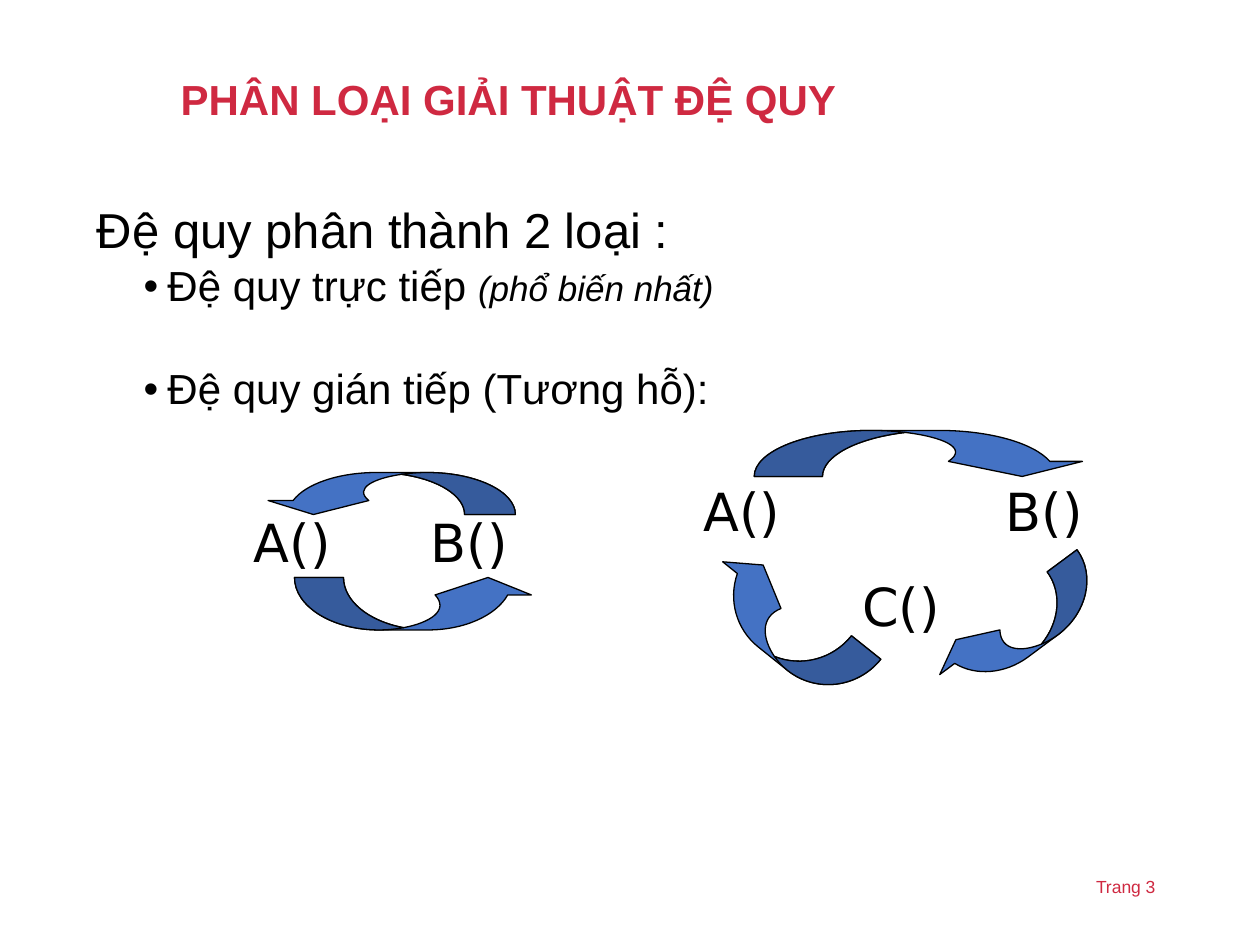
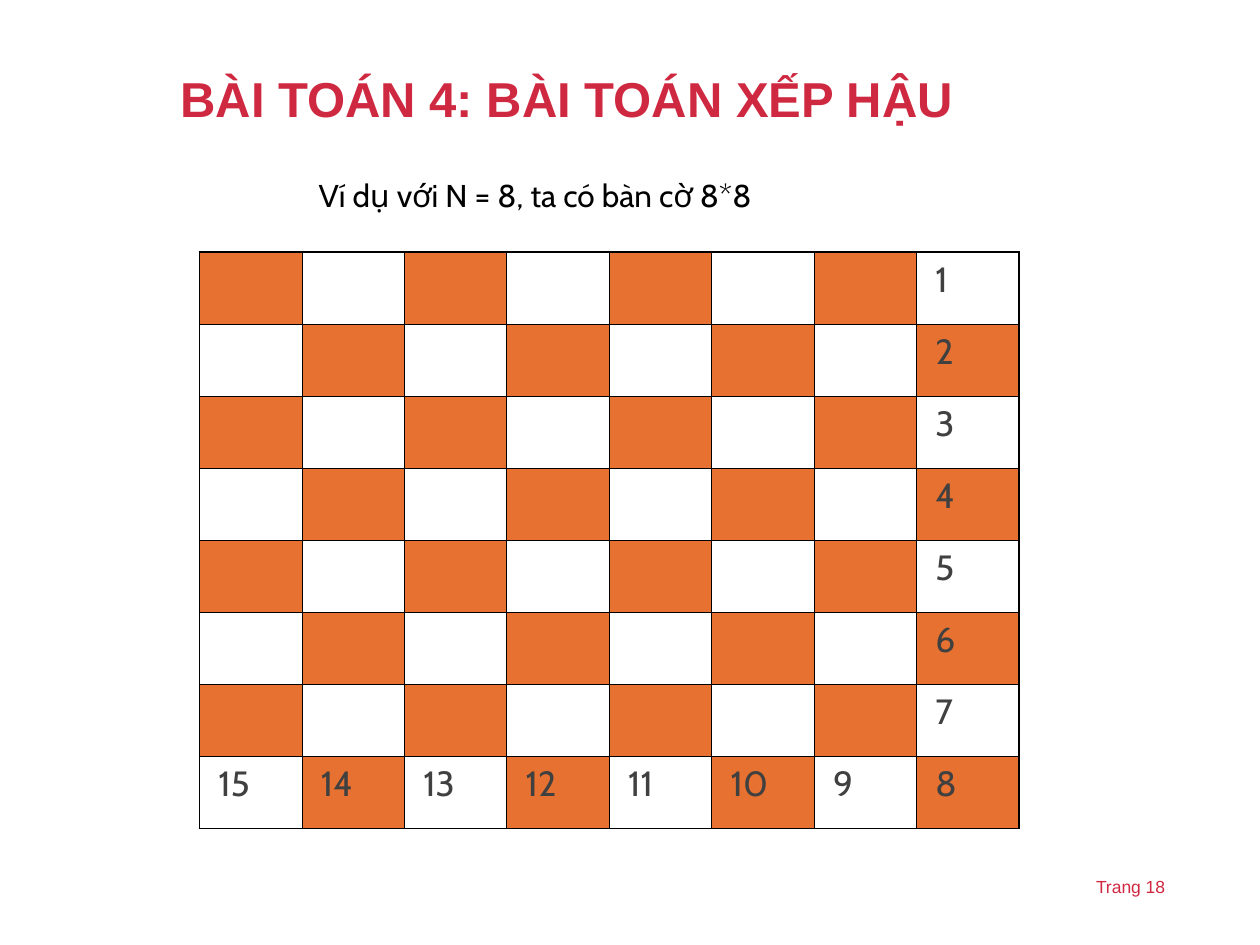
from math import acos, asin, cos, pi, radians, sin, tan

from lxml.etree import SubElement as Sub
from pptx import Presentation
from pptx.dml.color import RGBColor as RGB
from pptx.enum.shapes import MSO_SHAPE as Kind
from pptx.enum.text import MSO_ANCHOR as Anchor
from pptx.enum.text import MSO_AUTO_SIZE as Fit
from pptx.enum.text import PP_ALIGN as Align
from pptx.oxml import parse_xml
from pptx.oxml.ns import nsdecls, qn
from pptx.util import Pt

RED = RGB(0xCF, 0x29, 0x41)
BLACK = RGB(0, 0, 0)
GRAY = RGB(0x40, 0x40, 0x40)
BLUE = RGB(0x44, 0x72, 0xC4)
ORANGE = RGB(0xE6, 0x71, 0x30)
SANS, MONO, ROUND = "Arial", "DejaVu Sans", "Cabin"

KINDS = {
    "title": "PHÂN LOẠI GIẢI THUẬT ĐỆ QUY",
    "size": 24,
    "page": 3,
    "lead": "Đệ quy phân thành 2 loại :",
    "items": [
        (3.7, [("Đệ quy trực tiếp ", 24, False), ("(phổ biến nhất)", 20, True)]),
        (33, [("Đệ quy gián tiếp (Tương hỗ):", 24, False)]),
    ],
}
ARROWS = [
    dict(start=(294.5, 294), spin=180, aim=0, side=-1,
         shaft=29, reach=115.4, head=57.5, length=8, depth=24),
    dict(start=(168.3, 330), spin=0, aim=0, side=-1,
         shaft=28, reach=110.6, head=55, length=10, depth=30),
    dict(start=(615.4, 314.2), spin=53.4, aim=90, side=1,
         shaft=21.2, reach=86.2, head=42.8, length=10.5, depth=32.5),
    dict(start=(431, 272.3), spin=0, aim=0, side=1,
         shaft=39, reach=153.1, head=76.6, length=8.6, depth=26.3),
    dict(start=(503.3, 376.7), spin=308.7, aim=-90, side=1,
         shaft=21.4, reach=86.1, head=42.7, length=13, depth=38.3),
]
CALLS = [
    ((102, 288, 222, 43), 36, 47.7, ["A()", "B()"], None),
    ((395, 270, 239.8, 98), 0, 119.2, ["A()", "B()"], "C()"),
]
QUEENS = {
    "title": "BÀI TOÁN 4: BÀI TOÁN XẾP HẬU",
    "size": 28,
    "page": 18,
    "note": "Ví dụ với N = 8, ta có bàn cờ 8*8",
}
N = 8
BOARD = (114, 144, 468.3, 329.7)
THIN, THICK = 0.45, 1.08


def place(shape, box):
    shape.left, shape.top, shape.width, shape.height = map(Pt, box)


def write(para, text, size, font, color, bold=False, slant=False):
    run = para.add_run()
    run.text = text
    face = run.font
    face.size, face.name, face.bold, face.italic = Pt(size), font, bold, slant
    face.color.rgb = color
    return run


def add_box(slide, box, wrap=True):
    frame = slide.shapes.add_textbox(*map(Pt, box)).text_frame
    frame.word_wrap = wrap
    return frame


def indent(para, left, hang=0):
    props = para._p.get_or_add_pPr()
    props.set("marL", str(Pt(left)))
    props.set("indent", str(Pt(hang)))
    return props


def add_slide(layout, data):
    slide = deck.slides.add_slide(deck.slide_layouts[layout])
    title = slide.shapes.title
    place(title, (96, 28.8, 574.5, 59))
    frame = title.text_frame
    frame.auto_size, frame.vertical_anchor = Fit.NONE, Anchor.MIDDLE
    para = frame.paragraphs[0]
    para.alignment, para.line_spacing = Align.LEFT, 0.9
    write(para, data["title"], data["size"], SANS, RED, bold=True)
    foot = add_box(slide, (619.2, 496.8, 87, 19.4))
    write(foot.paragraphs[0], f"Trang {data['page']}", 10, SANS, RED)
    return slide


def add_list(slide, data):
    body = slide.placeholders[1]
    place(body, (48.2, 114.2, 499.7, 305.3))
    frame = body.text_frame
    frame.auto_size, frame.vertical_anchor = Fit.NONE, Anchor.TOP
    lead = frame.paragraphs[0]
    lead.line_spacing, lead.space_before = 0.9, Pt(7.5)
    Sub(indent(lead, 0), qn("a:buNone"))
    write(lead, data["lead"], 28, SANS, BLACK)
    for gap, runs in data["items"]:
        para = frame.add_paragraph()
        para.level, para.line_spacing, para.space_before = 1, 0.9, Pt(gap)
        props = indent(para, 40.3, -13.7)
        Sub(Sub(props, qn("a:buClr")), qn("a:srgbClr"), val=str(BLACK))
        Sub(props, qn("a:buFont"), typeface=SANS)
        Sub(props, qn("a:buChar"), char="•")
        for text, size, slant in runs:
            write(para, text, size, SANS, BLACK, slant=slant)


def rotate(x, y, turn):
    a = radians(turn)
    return x * cos(a) - y * sin(a), x * sin(a) + y * cos(a)


def add_arrow(slide, start, spin, aim, side, shaft, reach, head, length, depth):
    rad = (reach - shaft / 2) / 2
    mid = rad + shaft
    long = reach + 0.45 * head
    wide, high = (depth, long) if aim else (long, depth)
    dx, dy = rotate(long / 2, -side * depth / 2, spin + aim)
    left, top = start[0] + dx - wide / 2, start[1] + dy - high / 2

    def arc(hub, a, b):
        k = 4 / 3 * tan((b - a) / 4)
        ends = [(cos(a), sin(a)), (cos(a) - k * sin(a), sin(a) + k * cos(a)),
                (cos(b) + k * sin(b), sin(b) - k * cos(b)), (cos(b), sin(b))]
        spots = [(hub + rad * x, -depth * y) for x, y in ends]
        return [("lnTo", spots[:1]), ("cubicBezTo", spots[1:])]

    def trace(paths, steps, shade):
        line = Sub(paths, qn("a:path"), w=str(Pt(wide)), h=str(Pt(high)), fill=shade)
        for i, (verb, spots) in enumerate(steps):
            node = Sub(line, qn("a:" + (verb if i else "moveTo")))
            for along, off in spots:
                x, y = rotate(along - long / 2, side * (off + depth / 2), aim)
                Sub(node, qn("a:pt"), x=str(Pt(x + wide / 2)), y=str(Pt(y + high / 2)))
        Sub(line, qn("a:close"))

    cross, neck = acos(shaft / 2 / rad), asin(length / depth)
    tail, inner = arc(rad, pi, pi / 2), arc(mid, pi - cross, pi)[1:]
    tip = [("lnTo", [spot]) for spot in (
        (long, -length), (reach, 0), (reach - 0.55 * head, -length))]
    front = arc(mid, pi / 2, neck) + tip + arc(rad, neck, cross)[1:]

    shape = slide.shapes.add_shape(Kind.RECTANGLE, *map(Pt, (left, top, wide, high)))
    shape.rotation = spin
    shape.shadow.inherit = False
    shape.fill.solid()
    shape.fill.fore_color.rgb = BLUE
    shape.line.color.rgb, shape.line.width = BLACK, Pt(0.74)
    geom = parse_xml(f'<a:custGeom {nsdecls("a")}><a:avLst/><a:gdLst/><a:ahLst/><a:cxnLst/>'
                     '<a:rect l="0" t="0" r="r" b="b"/><a:pathLst/></a:custGeom>')
    trace(geom[-1], tail + front + inner, "norm")
    trace(geom[-1], tail + arc(rad, pi / 2, cross)[1:] + inner, "darkenLess")
    props = shape._element.spPr
    props.replace(props.find(qn("a:prstGeom")), geom)


def add_calls(slide, box, left, gap, pair, last):
    frame = add_box(slide, box)
    para = frame.paragraphs[0]
    indent(para, left)
    write(para, pair[0], 30, MONO, BLACK)
    space = write(para, " ", 30, MONO, BLACK)
    space._r.get_or_add_rPr().set("spc", str(round(gap * 100)))
    write(para, pair[1], 30, MONO, BLACK)
    if last:
        para = frame.add_paragraph()
        para.alignment, para.space_before = Align.CENTER, Pt(18.7)
        write(para, last, 30, MONO, BLACK)


def edge(cell, row, col):
    ends = {"L": col == 0, "R": col == N - 1, "T": row == 0, "B": row == N - 1}
    for i, (name, rim) in enumerate(ends.items()):
        width = Pt(THICK if rim else THIN)
        cell._tc.get_or_add_tcPr().insert(i, parse_xml(
            f'<a:ln{name} {nsdecls("a")} w="{width}"><a:solidFill>'
            f'<a:srgbClr val="{BLACK}"/></a:solidFill></a:ln{name}>'))


def add_board(slide):
    table = slide.shapes.add_table(N, N, *map(Pt, BOARD)).table
    table.first_row = table.horz_banding = False
    for row in range(N):
        for col in range(N):
            cell = table.cell(row, col)
            if (row + col) % 2:
                cell.fill.background()
            else:
                cell.fill.solid()
                cell.fill.fore_color.rgb = ORANGE
            edge(cell, row, col)
            if N - 1 in (row, col):
                para = cell.text_frame.paragraphs[0]
                para.space_before, para.space_after = Pt(5), Pt(3)
                indent(para, 3.6)
                write(para, str(row + N - col), 20, ROUND, GRAY)


deck = Presentation()
deck.slide_width, deck.slide_height = Pt(720), Pt(540)

kinds = add_slide(1, KINDS)
add_list(kinds, KINDS)
for arrow in ARROWS:
    add_arrow(kinds, **arrow)
for call in CALLS:
    add_calls(kinds, *call)

queens = add_slide(5, QUEENS)
add_board(queens)
note = add_box(queens, (175, 97, 281.5, 28.8), wrap=False)
write(note.paragraphs[0], QUEENS["note"], 18, ROUND, BLACK)

deck.save("out.pptx")
